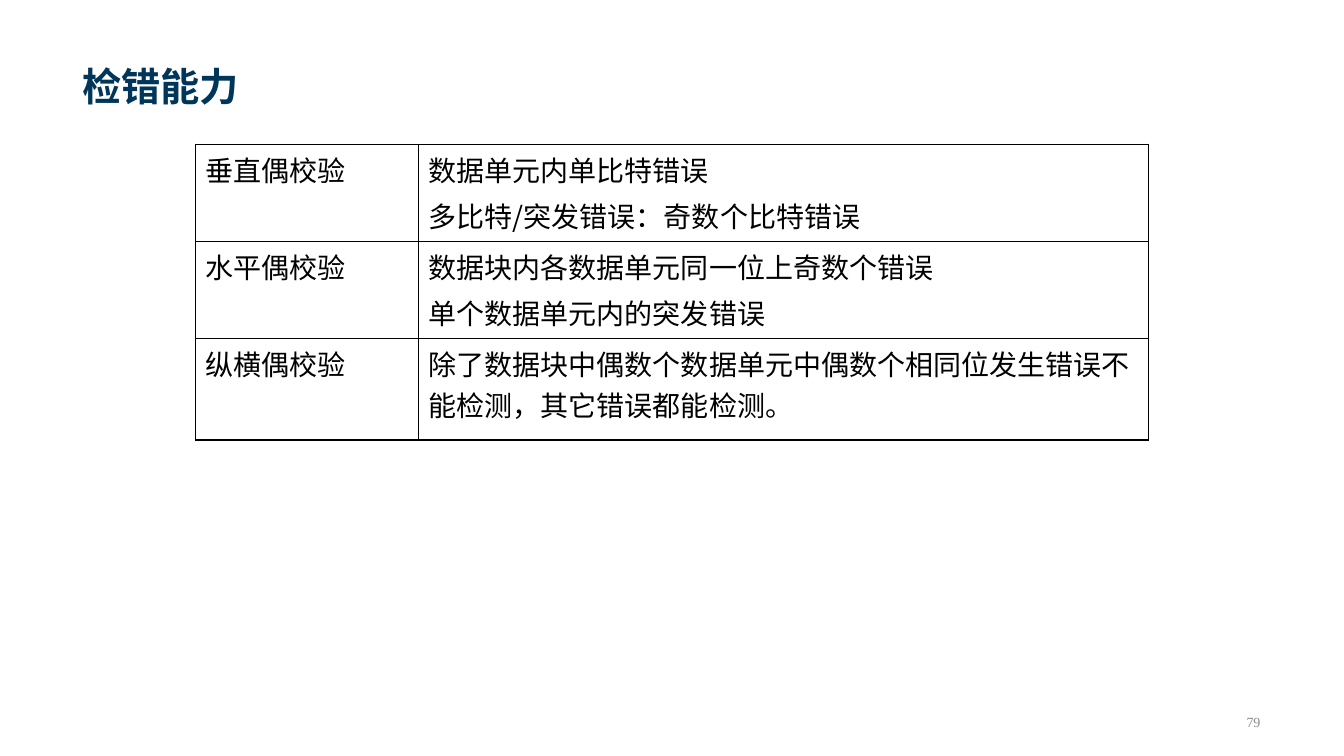
from lxml.etree import SubElement
from pptx import Presentation
from pptx.dml.color import RGBColor
from pptx.enum.text import MSO_ANCHOR, PP_ALIGN
from pptx.oxml import parse_xml
from pptx.oxml.ns import nsdecls, qn
from pptx.util import Inches, Pt


def color(value):
    return RGBColor.from_string(value)


class SlideBuilder:
    SANS = "Noto Sans CJK SC"
    SERIF = "Times New Roman"
    BLACK = "000000"
    NAVY = "003659"
    GRAY = "8C8C8C"

    def __init__(self, prs):
        self.s = prs.slides.add_slide(prs.slide_layouts[6])

    def style(self, p, size, font, fill, bold=False):
        p.font.size = Pt(size)
        p.font.name = font
        p.font.bold = bold
        p.font.color.rgb = color(fill)
        SubElement(p.font._element, qn("a:ea"), typeface=self.SANS)

    def text(self, content, box, size, fill, bold=False,
             align=PP_ALIGN.LEFT, anchor=MSO_ANCHOR.MIDDLE):
        tf = self.s.shapes.add_textbox(*map(Inches, box)).text_frame
        tf.word_wrap = True
        tf.vertical_anchor = anchor
        p = tf.paragraphs[0]
        p.text = content
        p.alignment = align
        self.style(p, size, self.SERIF, fill, bold)

    def borders(self, cell):
        tcPr = cell._tc.get_or_add_tcPr()
        for i, side in enumerate(("lnL", "lnR", "lnT", "lnB")):
            tcPr.insert(i, parse_xml(
                f'<a:{side} {nsdecls("a")} w="{Pt(1)}"><a:solidFill>'
                f'<a:srgbClr val="{self.BLACK}"/></a:solidFill></a:{side}>'))

    def cell(self, cell, lines):
        cell.fill.background()
        self.borders(cell)
        tf = cell.text_frame
        tf.text = "\n".join(lines)
        for i, p in enumerate(tf.paragraphs):
            if i:
                p.space_before = Pt(4)
            self.style(p, 20, self.SANS, self.BLACK)

    def table(self, rows, left, top, widths, heights):
        size = map(Inches, (left, top, sum(widths), sum(heights)))
        table = self.s.shapes.add_table(len(rows), len(widths), *size).table
        table.first_row = table.horz_banding = False
        for column, width in zip(table.columns, widths):
            column.width = Inches(width)
        for r, (row, height) in enumerate(zip(rows, heights)):
            table.rows[r].height = Inches(height)
            for c, lines in enumerate(row):
                self.cell(table.cell(r, c), lines)


CHECKS = [
    (["垂直偶校验"], ["数据单元内单比特错误", "多比特/突发错误：奇数个比特错误"]),
    (["水平偶校验"], ["数据块内各数据单元同一位上奇数个错误", "单个数据单元内的突发错误"]),
    (["纵横偶校验"], ["除了数据块中偶数个数据单元中偶数个相同位发生错误不能检测，其它错误都能检测。"]),
]


def main():
    prs = Presentation()
    prs.slide_width, prs.slide_height = Inches(13.33), Inches(7.5)
    slide = SlideBuilder(prs)
    slide.table(CHECKS, 1.94, 1.43, (2.21, 7.24), (0.96, 0.96, 1.01))
    slide.text("79", (8.5, 7.01, 4.1, 0.3), 10, slide.GRAY, align=PP_ALIGN.RIGHT)
    slide.text("检错能力", (0.72, 0.08, 11.88, 1.05), 28, slide.NAVY, bold=True,
               anchor=MSO_ANCHOR.BOTTOM)
    prs.save("out.pptx")


if __name__ == "__main__":
    main()
